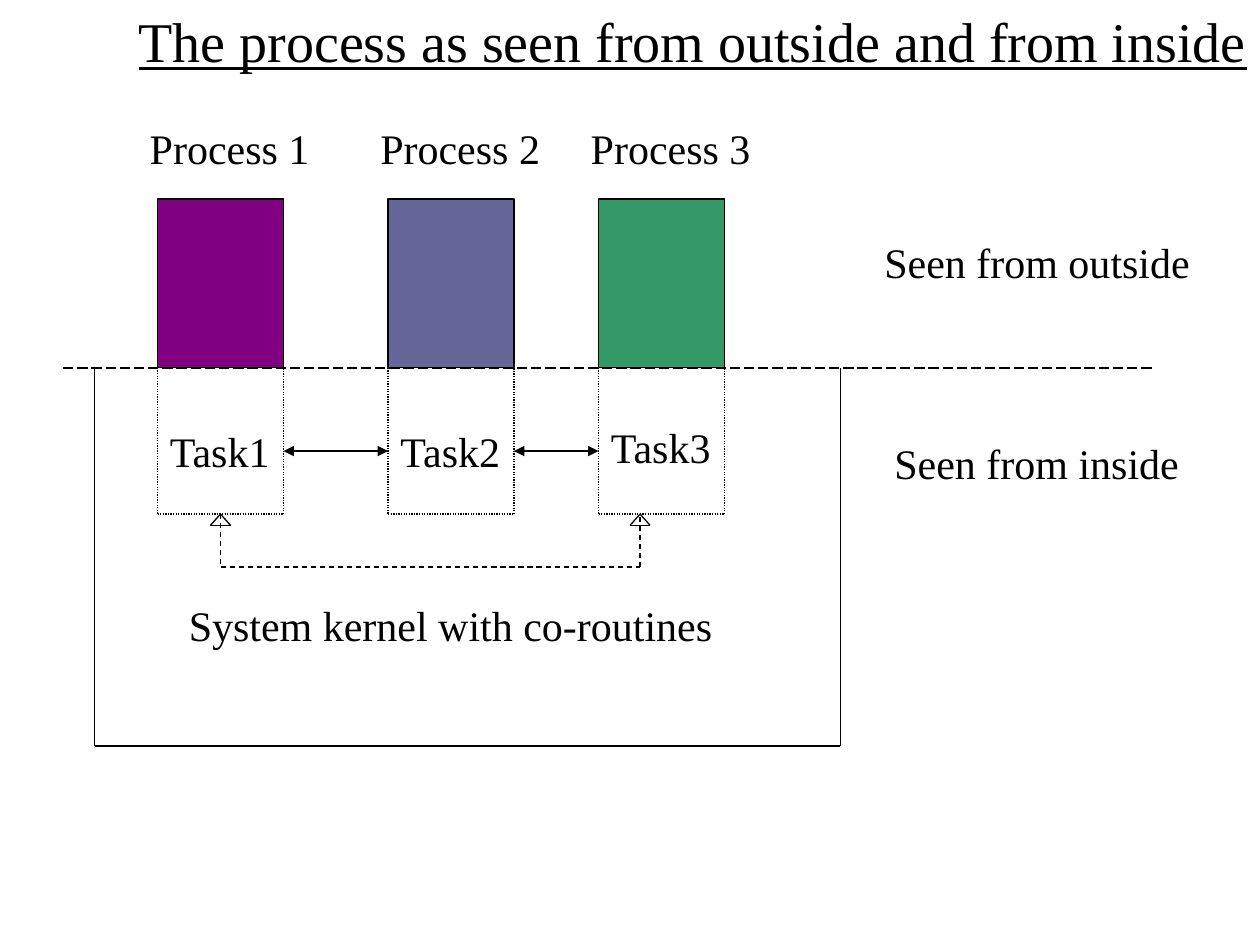
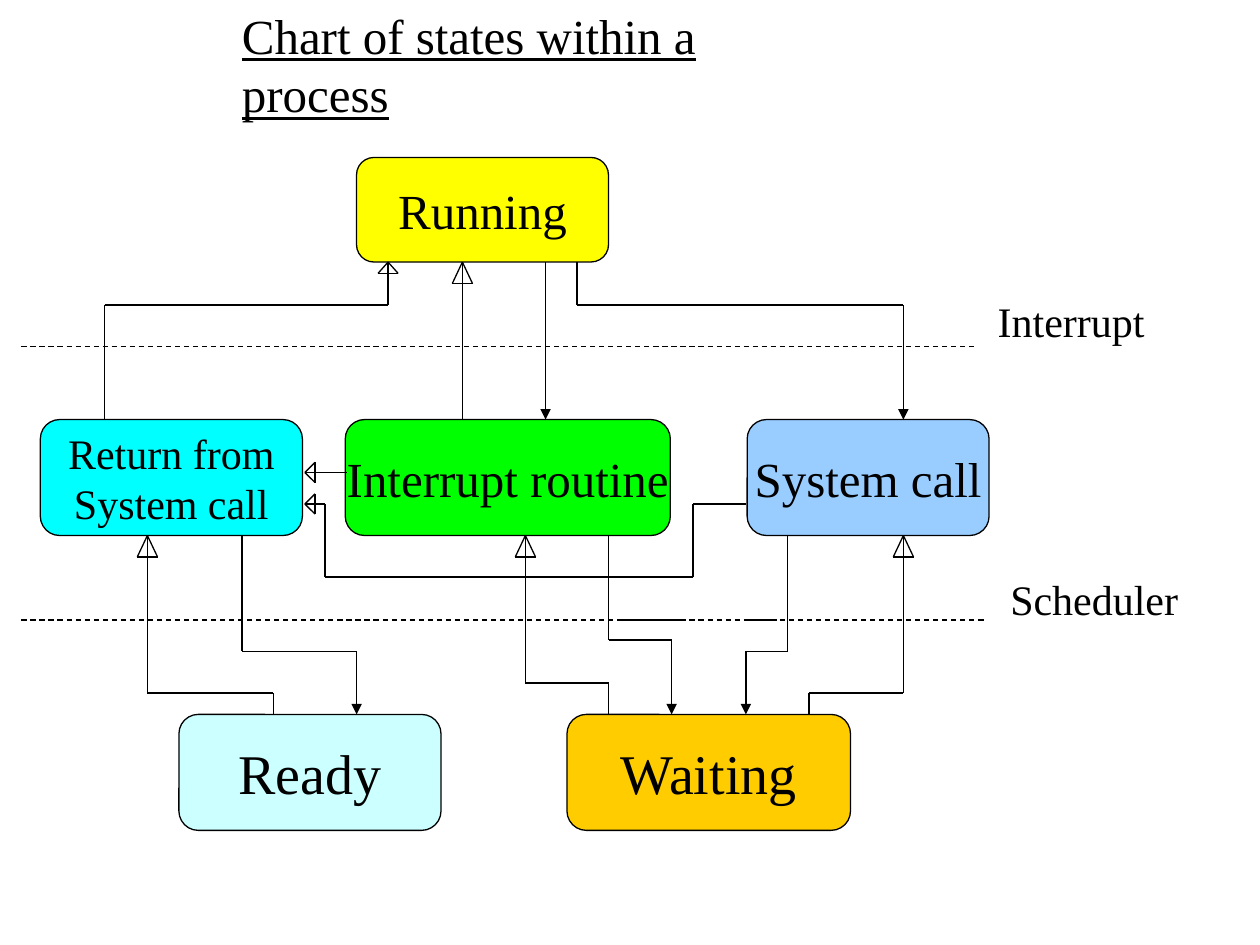
from pptx import Presentation
from pptx.dml.color import RGBColor
from pptx.enum.dml import MSO_LINE
from pptx.enum.shapes import MSO_CONNECTOR, MSO_SHAPE
from pptx.enum.text import MSO_ANCHOR, MSO_AUTO_SIZE, PP_ALIGN
from pptx.oxml.ns import qn
from pptx.util import Inches, Pt
from lxml import etree

FONT = "Times New Roman"
BLACK = "000000"
LINE_WIDTH = Pt(0.75)
TITLE_ONLY = 5

RECT = MSO_SHAPE.RECTANGLE
ROUNDED = MSO_SHAPE.ROUNDED_RECTANGLE
STRAIGHT = MSO_CONNECTOR.STRAIGHT
DASH, LONG_DASH, DOTS = MSO_LINE.DASH, MSO_LINE.LONG_DASH, MSO_LINE.ROUND_DOT
LEFT, CENTER = PP_ALIGN.LEFT, PP_ALIGN.CENTER
TOP, MIDDLE = MSO_ANCHOR.TOP, MSO_ANCHOR.MIDDLE
NO_AUTOFIT = MSO_AUTO_SIZE.NONE


def color(hex_string):
    return RGBColor.from_string(hex_string)


def inches(*values):
    return [Inches(v) for v in values]


def write(shape, text, size, align=LEFT, anchor=TOP, underline=None):
    tf = shape.text_frame
    tf.text = text
    tf.word_wrap = False
    tf.auto_size = NO_AUTOFIT
    tf.vertical_anchor = anchor
    for p in tf.paragraphs:
        p.alignment = align
        for r in p.runs:
            r.font.name = FONT
            r.font.size = Pt(size)
            r.font.underline = underline
            r.font.color.rgb = color(BLACK)


def add_slide(prs, title, size, left, top, width, height):
    s = prs.slides.add_slide(prs.slide_layouts[TITLE_ONLY])
    sp = s.shapes.title
    sp.left, sp.top, sp.width, sp.height = inches(left, top, width, height)
    write(sp, title, size, underline=True)
    return s


def label(s, text, left, top, width):
    write(s.shapes.add_textbox(*inches(left, top, width, 0.5)), text, 24)


def box(s, kind, left, top, width, height, fill):
    sp = s.shapes.add_shape(kind, *inches(left, top, width, height))
    sp.shadow.inherit = False
    sp.fill.solid()
    sp.fill.fore_color.rgb = color(fill)
    sp.line.color.rgb = color(BLACK)
    sp.line.width = LINE_WIDTH
    return sp


def state(s, text, size, left, top, width, height, fill):
    write(box(s, ROUNDED, left, top, width, height, fill), text, size, CENTER, MIDDLE)


def line(s, start, end, dash=None, heads=()):
    """Draw a straight line; heads names its ends with arrows: headEnd, tailEnd."""
    c = s.shapes.add_connector(STRAIGHT, *inches(*start, *end))
    c.line.color.rgb = color(BLACK)
    c.line.width = LINE_WIDTH
    if dash:
        c.line.dash_style = dash
    ln = c.line._get_or_add_ln()
    for head in heads:
        etree.SubElement(ln, qn(f"a:{head}"), type="triangle")
    etree.SubElement(c._element.spPr, qn("a:effectLst"))


def route(s, *points, dash=None, arrow=False):
    """Join the points with lines, with a solid arrowhead at the last if asked."""
    last = len(points) - 2
    for i, (start, end) in enumerate(zip(points, points[1:])):
        line(s, start, end, dash, ["tailEnd"] if arrow and i == last else [])


def open_head_up(s, x, y, depth):
    base = y + depth
    route(s, (x, y), (x - 0.08, base), (x + 0.08, base), (x, y))


def open_head_left(s, x, y):
    base = x + 0.08
    route(s, (x, y), (base, y - 0.08), (base, y + 0.08), (x, y))


def process_slide(prs):
    s = add_slide(prs, "The process as seen from outside and from inside",
                  32, 1, 0, 9, 0.64)
    border, task_bottom, kernel_bottom = 2.92, 4.08, 5.92
    process_width, process_top = 1, 1.58
    processes = [(1.25, "800080", 3.33), (3.08, "666699", 3.33), (4.75, "339966", 3.3)]

    for n, (left, fill, task_top) in enumerate(processes, 1):
        right = left + process_width
        label(s, f"Process {n}", left - 0.16, 0.92, 1.47)
        box(s, RECT, left, process_top, process_width, border - process_top, fill)
        route(s, (left, border), (left, task_bottom), (right, task_bottom),
              (right, border), dash=DOTS)
        label(s, f"Task{n}", left, task_top, 1.01)
    line(s, (0.5, border), (9.17, border), LONG_DASH)

    lefts = [left for left, _, _ in processes]
    for left, next_left in zip(lefts, lefts[1:]):
        line(s, (left + process_width, 3.58), (next_left, 3.58),
             heads=["headEnd", "tailEnd"])

    first, third = 1.75, 5.08
    route(s, (first, task_bottom), (first, 4.5), (third, 4.5),
          (third, task_bottom), dash=DASH)
    for x in (first, third):
        open_head_up(s, x, task_bottom, 0.09)

    route(s, (0.75, border), (0.75, kernel_bottom), (6.67, kernel_bottom), (6.67, border))
    label(s, "System kernel with co-routines", 1.4, 4.71, 4.35)
    label(s, "Seen from outside", 6.92, 1.83, 2.71)
    label(s, "Seen from inside", 7, 3.42, 2.46)


def states_slide(prs):
    s = add_slide(prs, "Chart of states within a process", 28, 1.82, -0.01, 5.06, 0.57)
    running_bottom, kernel_top, kernel_bottom, queue_top = 2.08, 3.33, 4.25, 5.67
    interrupt_y, scheduler_y = 2.75, 4.92
    kernel_height = kernel_bottom - kernel_top

    state(s, "Running", 28, 2.83, 1.25, 2, 0.83, "FFFF00")
    for text, size, left, top, width, fill in [
        ("Return from\nSystem call", 24, 0.32, kernel_top, 2.08, "00FFFF"),
        ("Interrupt routine", 28, 2.74, kernel_top, 2.58, "00FF00"),
        ("System call", 28, 5.93, kernel_top, 1.92, "99CCFF"),
        ("Ready", 32, 1.42, queue_top, 2.08, "CCFFFF"),
        ("Waiting", 32, 4.5, queue_top, 2.25, "FFCC00"),
    ]:
        state(s, text, size, left, top, width, kernel_height, fill)

    # Between Running and the kernel states
    turn = 2.42
    line(s, (3.67, kernel_top), (3.67, running_bottom))
    open_head_up(s, 3.67, running_bottom, 0.17)
    route(s, (0.83, kernel_top), (0.83, turn), (3.08, turn), (3.08, running_bottom))
    open_head_up(s, 3.08, running_bottom, 0.09)
    route(s, (4.33, running_bottom), (4.33, kernel_top), arrow=True)
    route(s, (4.58, running_bottom), (4.58, turn), (7.17, turn),
          (7.17, kernel_top), arrow=True)

    # From Ready and Waiting up to the kernel states
    for start_x, turn, end_x in [(2.17, 5.5, 1.17), (4.83, 5.42, 4.17), (6.42, 5.5, 7.17)]:
        route(s, (start_x, queue_top), (start_x, turn), (end_x, turn),
              (end_x, kernel_bottom))
        open_head_up(s, end_x, kernel_bottom, 0.17)

    # From the kernel states down to Ready and Waiting
    for start_x, turn, end_x in [(1.92, 5.17, 2.83), (4.83, 5.08, 5.33), (6.25, 5.17, 5.92)]:
        route(s, (start_x, kernel_bottom), (start_x, turn), (end_x, turn),
              (end_x, queue_top), arrow=True)

    # Into Return from System call
    line(s, (2.75, 3.75), (2.42, 3.75))
    route(s, (5.92, 4), (5.5, 4), (5.5, 4.58), (2.58, 4.58), (2.58, 4), (2.42, 4))
    for y in (3.75, 4):
        open_head_left(s, 2.42, y)

    # Layer borders
    line(s, (0.17, interrupt_y), (7.75, interrupt_y), DASH)
    line(s, (0.17, scheduler_y), (7.83, scheduler_y), DASH)
    line(s, (4.93, scheduler_y), (5.43, scheduler_y))
    line(s, (5.92, scheduler_y), (6.17, scheduler_y))
    label(s, "Interrupt", 7.82, 2.3, 1.36)
    label(s, "Scheduler", 7.92, 4.5, 1.53)


def main():
    prs = Presentation()
    prs.slide_width, prs.slide_height = inches(10, 7.5)
    process_slide(prs)
    states_slide(prs)
    prs.save("out.pptx")


if __name__ == "__main__":
    main()
